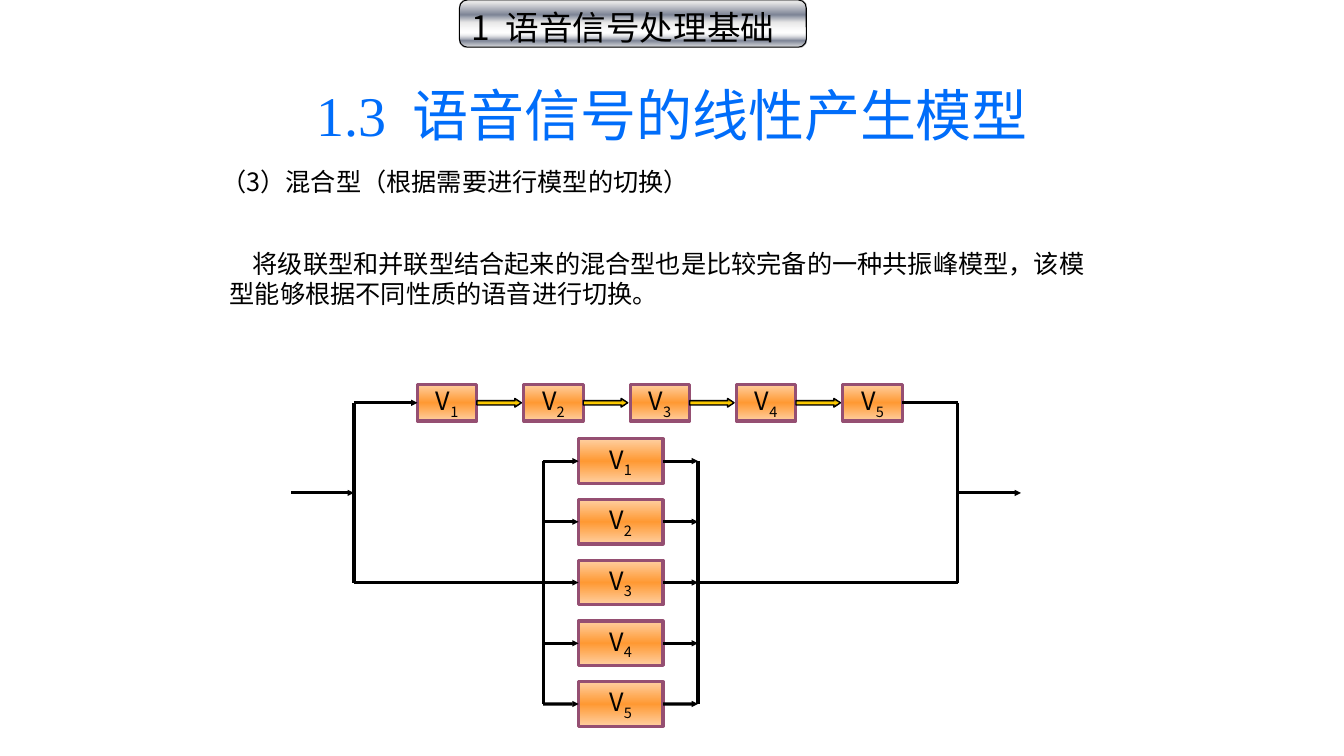
import lxml.etree
import pptx
import pptx.dml.color
import pptx.enum.shapes
import pptx.enum.text
import pptx.oxml.ns
import pptx.util

Cm = pptx.util.Cm
qn = pptx.oxml.ns.qn
RGB = pptx.dml.color.RGBColor.from_string
SHAPES = pptx.enum.shapes.MSO_SHAPE
ANCHOR = pptx.enum.text.MSO_ANCHOR
ALIGN = pptx.enum.text.PP_ALIGN
FIT = pptx.enum.text.MSO_AUTO_SIZE

THEME = {
    "cjk": "Noto Sans CJK SC", "latin": "Times New Roman",
    "title_size": 40, "chapter_size": 24, "body_size": 18,
    "title": "006DFA", "black": "000000", "label": "050301", "border": "954F72",
    # gradient stops: position in percent, colour, opacity in percent
    "silver": [(7, "E6E6E6", 100), (32, "7D8496", 100), (47, "E6E6E6", 100),
               (68, "F2F2F2", 0), (85, "7D8496", 100), (100, "E6E6E6", 100)],
    "orange": [(0, "FFCFA0", 100), (50, "FF9933", 100), (100, "FFCFA0", 100)],
    "gold": [(0, "765E00", 100), (50, "FFCC00", 100), (100, "765E00", 100)],
}


def add_gradient_shape(kind, left, top, width, height, stops, border, border_width):
    """Add a shape filled from top to bottom with the given gradient stops."""
    shape = slide.shapes.add_shape(kind, Cm(left), Cm(top), Cm(width), Cm(height))
    shape.shadow.inherit = False
    shape.fill.gradient()
    shape.fill.gradient_angle = 270
    stop_list = shape._element.spPr.find(".//" + qn("a:gsLst"))
    for default_stop in list(stop_list):
        stop_list.remove(default_stop)
    for position, color, opacity in stops:
        stop = lxml.etree.SubElement(stop_list, qn("a:gs"), pos=str(position * 1000))
        paint = lxml.etree.SubElement(stop, qn("a:srgbClr"), val=color)
        if opacity < 100:
            lxml.etree.SubElement(paint, qn("a:alpha"), val=str(opacity * 1000))
    shape.line.color.rgb = RGB(border)
    shape.line.width = pptx.util.Pt(border_width)
    return shape


def write(frame, runs, size, color, frame_format, paragraph_format):
    """Fill a text frame with one paragraph of (text, font, run attributes)."""
    paragraph = frame.paragraphs[0]
    for target, values in ((frame, frame_format), (paragraph, paragraph_format)):
        for name, value in values.items():
            setattr(target, name, value)
    for text, font_name, attributes in runs:
        run = paragraph.add_run()
        run.text = text
        run.font.name = font_name
        run.font.size = pptx.util.Pt(THEME[size])
        run.font.color.rgb = RGB(THEME[color])
        properties = run.font._element
        lxml.etree.SubElement(properties, qn("a:ea"), typeface=font_name)
        for name, value in attributes.items():
            properties.set(name, value)


presentation = pptx.Presentation()
presentation.slide_width, presentation.slide_height = Cm(33.87), Cm(19.05)
slide = presentation.slides.add_slide(presentation.slide_layouts[5])
cjk = THEME["cjk"]

# Headings
title = slide.shapes.title
title.left, title.top, title.width, title.height = Cm(2.33), Cm(1.02), Cm(29.21), Cm(2.84)
write(title.text_frame,
      [("1.3", THEME["latin"], {}), (" ", cjk, {"spc": "1000"}),
       ("语音信号的线性产生模型", cjk, {})],
      "title_size", "title",
      {"vertical_anchor": ANCHOR.BOTTOM, "auto_size": FIT.NONE, "word_wrap": True},
      {"alignment": ALIGN.CENTER, "line_spacing": 0.9})

chapter = add_gradient_shape(SHAPES.ROUNDED_RECTANGLE, 11.58, 0, 8.74, 1.19,
                             THEME["silver"], THEME["black"], 0.75)
write(chapter.text_frame,
      [("1", cjk, {}), (" ", cjk, {"spc": "540"}), ("语音信号处理基础", cjk, {})],
      "chapter_size", "black",
      {"vertical_anchor": ANCHOR.TOP, "word_wrap": True}, {"alignment": ALIGN.LEFT})

# Explanation
for left, top, width, height, anchor, indent, text in (
    (5.33, 4.06, 18.39, 1.02, ANCHOR.TOP, 0, "（3）混合型（根据需要进行模型的切换）"),
    (5.54, 6.12, 22.61, 1.8, ANCHOR.MIDDLE, 0.58,
     "将级联型和并联型结合起来的混合型也是比较完备的一种共振峰模型，"
     "该模型能够根据不同性质的语音进行切换。"),
):
    explanation = slide.shapes.add_textbox(Cm(left), Cm(top), Cm(width), Cm(height))
    write(explanation.text_frame, [(text, cjk, {})], "body_size", "black",
          {"vertical_anchor": anchor, "word_wrap": True, "auto_size": FIT.SHAPE_TO_FIT_TEXT},
          {"alignment": ALIGN.LEFT})
    if indent:
        explanation.text_frame.paragraphs[0]._p.get_or_add_pPr().set("indent", str(Cm(indent)))

# Resonators: a cascade in a row, a parallel bank in a column
COUNT = 5
cascade_y, cascade_left, cascade_pitch = 10.15, 10.52, 2.68
cascade_width, cascade_height = 1.5, 0.92
bank_left, bank_y, bank_pitch = 14.58, 11.62, 1.53
bank_width, bank_height = 2.13, 1.12

cascade, bank = [], []
for i in range(COUNT):
    left = cascade_left + i * cascade_pitch
    row_y = bank_y + i * bank_pitch
    for group, box in (
        (cascade, (left, cascade_y - cascade_height / 2, cascade_width, cascade_height)),
        (bank, (bank_left, row_y - bank_height / 2, bank_width, bank_height)),
    ):
        resonator = add_gradient_shape(SHAPES.RECTANGLE, *box, THEME["orange"],
                                       THEME["border"], 2.25)
        write(resonator.text_frame,
              [("V", cjk, {}), (str(i + 1), cjk, {"baseline": "-25000"})],
              "body_size", "label",
              {"vertical_anchor": ANCHOR.MIDDLE, "word_wrap": False},
              {"alignment": ALIGN.CENTER})
        group.append(resonator)
    if i < COUNT - 1:
        flow = add_gradient_shape(SHAPES.RIGHT_ARROW, left + cascade_width, cascade_y - 0.11,
                                  1.12, 0.22, THEME["gold"], THEME["black"], 1)
        flow.adjustments[0], flow.adjustments[1] = 0.5, 0.75

# Wires: x1, y1, x2, y2, arrowhead, resonator at start, resonator at end
input_x, split_x, merge_x, output_x = 7.34, 8.92, 24.13, 25.73
bank_in_x, bank_out_x = 13.69, 17.59
bank_right = bank_left + bank_width
cascade_right = cascade_left + (COUNT - 1) * cascade_pitch + cascade_width
trunk_y = 12.42
bank_middle = bank_y + 2 * bank_pitch
bank_bottom = bank_y + (COUNT - 1) * bank_pitch

wires = [
    (input_x, trunk_y, split_x, trunk_y, True, None, None),
    (split_x, cascade_y, split_x, bank_middle, False, None, None),
    (split_x, cascade_y, cascade_left, cascade_y, True, None, cascade[0]),
    (split_x, bank_middle, bank_in_x, bank_middle, False, None, None),
    (bank_in_x, bank_y, bank_in_x, bank_bottom, False, None, None),
    (bank_out_x, bank_y, bank_out_x, bank_bottom, False, None, None),
    (bank_out_x, bank_middle, merge_x, bank_middle, False, None, None),
    (cascade_right, cascade_y, merge_x, cascade_y, False, cascade[-1], None),
    (merge_x, cascade_y, merge_x, bank_middle, False, None, None),
    (merge_x, trunk_y, output_x, trunk_y, True, None, None),
]
for i, resonator in enumerate(bank):
    row_y = bank_y + i * bank_pitch
    wires.append((bank_in_x, row_y, bank_left, row_y, True, None, resonator))
    wires.append((bank_right, row_y, bank_out_x, row_y, True, resonator, None))

for x1, y1, x2, y2, arrowhead, source, target in wires:
    wire = slide.shapes.add_connector(pptx.enum.shapes.MSO_CONNECTOR.STRAIGHT,
                                      Cm(x1), Cm(y1), Cm(x2), Cm(y2))
    if source is not None:
        wire.begin_connect(source, 3)
    if target is not None:
        wire.end_connect(target, 1)
    wire.line.color.rgb = RGB(THEME["black"])
    wire.line.width = pptx.util.Pt(2.25)
    if arrowhead:
        lxml.etree.SubElement(wire.line._get_or_add_ln(), qn("a:tailEnd"),
                              type="triangle", w="sm", len="sm")
    lxml.etree.SubElement(wire._element.spPr, qn("a:effectLst"))

presentation.save("out.pptx")
